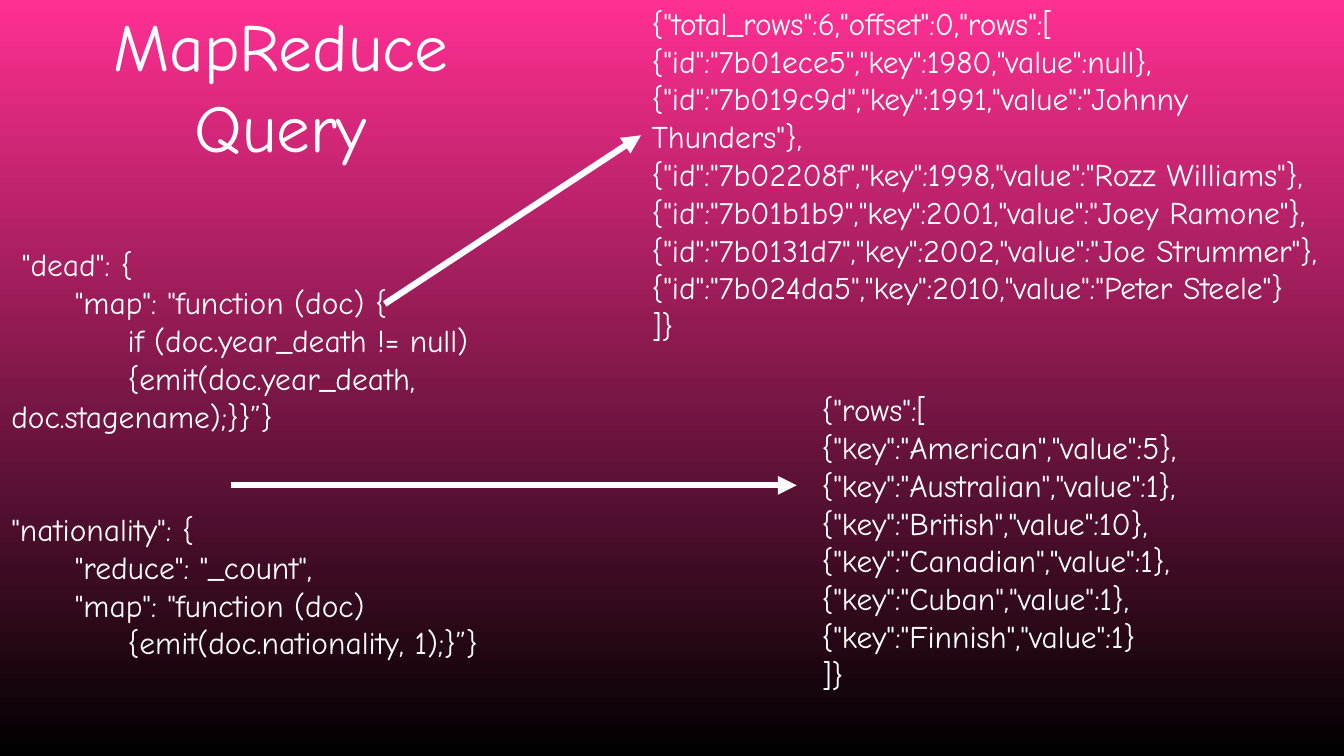
from pptx import Presentation
from pptx.dml.color import RGBColor
from pptx.enum.shapes import MSO_CONNECTOR
from pptx.enum.text import MSO_ANCHOR, MSO_AUTO_SIZE, PP_ALIGN
from pptx.oxml.ns import qn
from pptx.util import Inches, Pt
from lxml import etree

STRAIGHT = MSO_CONNECTOR.STRAIGHT
MIDDLE = MSO_ANCHOR.MIDDLE
GROW = MSO_AUTO_SIZE.SHAPE_TO_FIT_TEXT
LEFT, CENTER = PP_ALIGN.LEFT, PP_ALIGN.CENTER

FONT = "Comic Neue"
COLORS = {"pink": "FF2F92", "black": "000000", "white": "FFFFFF"}
WHITE = RGBColor.from_string(COLORS["white"])


def add_text(shapes, box, lines, size=30, align=LEFT):
    """Add a text box; each line is (first-line indent in inches, text)."""
    frame = shapes.add_textbox(*[Inches(v) for v in box]).text_frame
    frame.word_wrap = False
    frame.auto_size = GROW
    frame.vertical_anchor = MIDDLE
    frame.margin_left = frame.margin_right = Inches(0.06)
    frame.margin_top = frame.margin_bottom = Inches(0.06)
    for i, (indent, text) in enumerate(lines):
        paragraph = frame.add_paragraph() if i else frame.paragraphs[0]
        paragraph.text = text
        paragraph.alignment = align
        paragraph.font.name = FONT
        paragraph.font.size = Pt(size)
        paragraph.font.color.rgb = WHITE
        if indent:
            properties = paragraph._p.get_or_add_pPr()
            properties.set("marL", "0")
            properties.set("indent", str(Inches(indent)))
    return frame


def add_arrow(shapes, start, end):
    arrow = shapes.add_connector(STRAIGHT, *[Inches(v) for v in start + end])
    arrow.line.color.rgb = WHITE
    arrow.line.width = Pt(6)
    etree.SubElement(arrow.line._get_or_add_ln(), qn("a:tailEnd"), type="triangle")
    etree.SubElement(arrow._element.spPr, qn("a:effectLst"))


prs = Presentation()
prs.slide_width, prs.slide_height = Inches(17.78), Inches(10)
slide = prs.slides.add_slide(prs.slide_layouts[6])

background = slide.background.fill
background.gradient()
background.gradient_angle = 270
for stop, name in zip(background.gradient_stops, ("pink", "black")):
    stop.color.rgb = RGBColor.from_string(COLORS[name])

# View definitions
NESTED, BODY = 0.84, 1.54
views = [
    (0.14, '"dead": {'),
    (NESTED, '"map": "function (doc) {'),
    (BODY, "if (doc.year_death != null)"),
    (BODY, "{emit(doc.year_death, doc.stagename);}}”}"),
    (0, '"nationality": {'),
    (NESTED, '"reduce": "_count",'),
    (NESTED, '"map": "function (doc)'),
    (BODY, "{emit(doc.nationality, 1);}”}"),
]
views_frame = add_text(slide.shapes, (0.09, 3.42, 8.46, 5.15), views)
views_frame.paragraphs[4].space_before = Pt(72)

add_text(slide.shapes, (0.41, 0.59, 6.61, 1.08), [(0, "MapReduce Query")], 64, CENTER)

# Query results, each with the arrow that leads to it
deaths = [
    ("7b01ece5", 1980, "null"),
    ("7b019c9d", 1991, '"Johnny Thunders"'),
    ("7b02208f", 1998, '"Rozz Williams"'),
    ("7b01b1b9", 2001, '"Joey Ramone"'),
    ("7b0131d7", 2002, '"Joe Strummer"'),
    ("7b024da5", 2010, '"Peter Steele"'),
]
death_rows = [f'{{"id":"{id_}","key":{year},"value":{name}}}' for id_, year, name in deaths]

nationalities = [("American", 5), ("Australian", 1), ("British", 10),
                 ("Canadian", 1), ("Cuban", 1), ("Finnish", 1)]
nationality_rows = [f'{{"key":"{key}","value":{count}}}' for key, count in nationalities]

results = [
    ((8.56, 0.18, 9.17, 4.24), '{"total_rows":6,"offset":0,"rows":[', death_rows,
     (5.09, 4.02), (8.48, 1.79)),
    ((10.81, 5.27, 4.93, 3.78), '{"rows":[', nationality_rows,
     (3.06, 6.42), (10.54, 6.42)),
]
for box, opening, rows, start, end in results:
    group = slide.shapes.add_group_shape()
    lines = [opening] + [row + "," for row in rows[:-1]] + [rows[-1], "]}"]
    add_text(group.shapes, box, [(0, line) for line in lines])
    add_arrow(group.shapes, start, end)

prs.save("out.pptx")
